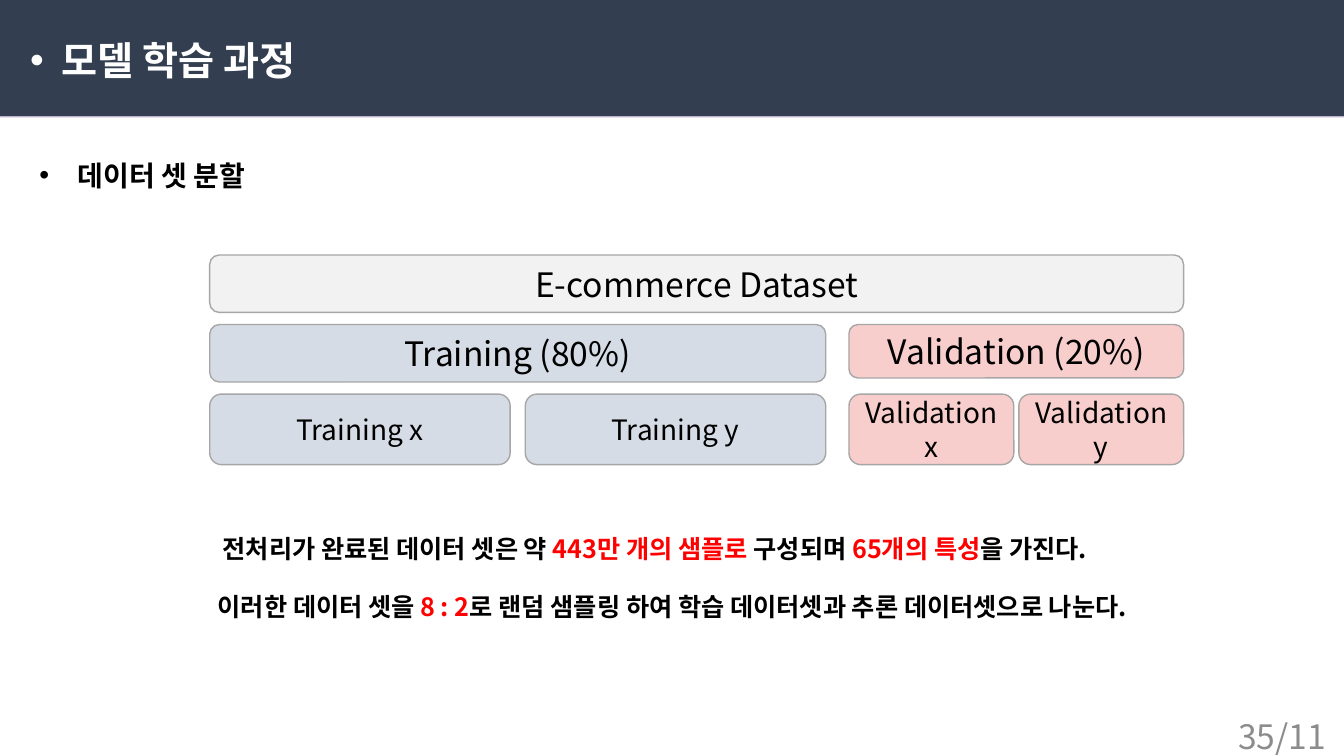
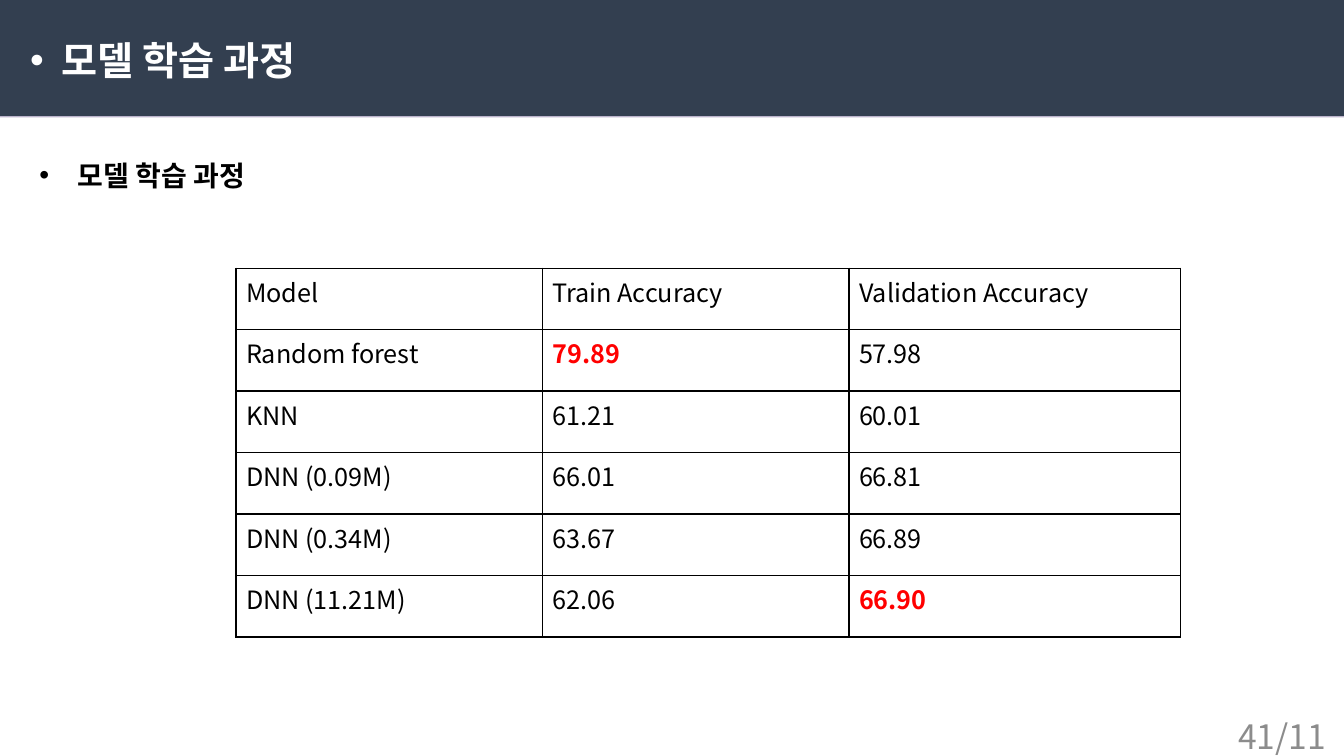
"""Build two slides on splitting a dataset and comparing trained models."""
from lxml.etree import SubElement
from pptx import Presentation
from pptx.dml.color import RGBColor
from pptx.enum.shapes import MSO_SHAPE
from pptx.enum.text import MSO_ANCHOR, MSO_AUTO_SIZE, PP_ALIGN
from pptx.oxml.ns import qn
from pptx.util import Inches, Pt

FONT = "Noto Sans CJK KR"
COLORS = {
    "band": "333F50", "shadow": "BBB3CB", "white": "FFFFFF", "black": "000000",
    "red": "FF0000", "page": "8C8C8C", "outline": "A6A6A6",
    "dataset": "F2F2F2", "training": "D6DCE5", "validation": "F8CECC",
}


class SlideBuilder:
    def __init__(self):
        self.deck = Presentation()
        self.deck.slide_width = Inches(13.33)
        self.deck.slide_height = Inches(7.5)
        self.slide = None

    def color(self, name):
        return RGBColor.from_string(COLORS[name])

    def add_span(self, para, text, size, color="black", bold=False):
        span = para.add_run()
        span.text = text
        font = span.font
        font.size, font.bold, font.name = Pt(size), bold, FONT
        font.color.rgb = self.color(color)
        SubElement(font._element, qn("a:ea"), typeface=FONT)

    def place(self, box, left, top, width, height):
        box.left, box.top = Inches(left), Inches(top)
        box.width, box.height = Inches(width), Inches(height)

    def set_frame(self, frame, margins=True, anchor=MSO_ANCHOR.TOP):
        frame.word_wrap = True
        frame.auto_size = MSO_AUTO_SIZE.NONE
        frame.vertical_anchor = anchor
        if not margins:
            frame.margin_left = frame.margin_right = 0
            frame.margin_top = frame.margin_bottom = 0
        return frame.paragraphs[0]

    def fill_placeholder(self, box, place, text, size, color, indent, margins):
        self.place(box, *place)
        para = self.set_frame(box.text_frame, margins)
        para.alignment = PP_ALIGN.LEFT
        para.space_before = Pt(0)
        properties = para._p.get_or_add_pPr()
        properties.set("marL", str(Inches(indent)))
        properties.set("indent", str(-Inches(indent)))
        SubElement(properties, qn("a:buFont"), typeface="Arial")
        SubElement(properties, qn("a:buChar"), char="•")
        self.add_span(para, text, size, color, True)

    def add_band(self):
        band = self.slide.shapes.add_shape(MSO_SHAPE.RECTANGLE, 0, 0, self.deck.slide_width, Inches(1.15))
        band.fill.solid()
        band.fill.fore_color.rgb = self.color("band")
        band.line.fill.background()
        band.shadow.inherit = False
        effects = band._element.spPr.find(qn("a:effectLst"))
        shadow = SubElement(effects, qn("a:outerShdw"), blurRad="0", dist=str(Pt(1)), dir="5400000", rotWithShape="0")
        SubElement(shadow, qn("a:srgbClr"), val=COLORS["shadow"])
        self.slide.shapes._spTree.insert(2, band._element)

    def new_slide(self, title, heading, page):
        self.slide = self.deck.slides.add_slide(self.deck.slide_layouts[1])
        self.add_band()
        self.fill_placeholder(self.slide.shapes.title, (0.2, 0.31, 4.33, 0.57), title, 28, "white", 0.31, True)
        self.fill_placeholder(self.slide.placeholders[1], (0.39, 1.57, 3.94, 0.34), heading, 20, "black", 0.38, False)
        self.add_text(10.25, 7.1, 3, 0.4, [(page, "page")], 24, False, PP_ALIGN.RIGHT, True, MSO_ANCHOR.MIDDLE)

    def add_text(self, left, top, width, height, spans, size=18, bold=True,
                 align=PP_ALIGN.LEFT, margins=False, anchor=MSO_ANCHOR.TOP):
        box = self.slide.shapes.add_textbox(Inches(left), Inches(top), Inches(width), Inches(height))
        para = self.set_frame(box.text_frame, margins, anchor)
        para.alignment = align
        for text, color in spans:
            self.add_span(para, text, size, color, bold)

    def add_block(self, left, top, width, height, text, fill, size):
        block = self.slide.shapes.add_shape(
            MSO_SHAPE.ROUNDED_RECTANGLE, Inches(left), Inches(top), Inches(width), Inches(height))
        block.shadow.inherit = False
        block.fill.solid()
        block.fill.fore_color.rgb = self.color(fill)
        block.line.color.rgb = self.color("outline")
        block.line.width = Pt(1)
        para = self.set_frame(block.text_frame, anchor=MSO_ANCHOR.MIDDLE)
        para.alignment = PP_ALIGN.CENTER
        self.add_span(para, text, size)

    def add_split(self, left, width, height, gap, name, share):
        fill = name.lower()
        self.add_block(left, 3.22, width, height, f"{name} ({share}%)", fill, 24)
        half = (width - gap) / 2
        for index, part in enumerate("xy"):
            self.add_block(left + index * (half + gap), 3.91, half, 0.7, f"{name} {part}", fill, 20)

    def style_cell(self, cell):
        properties = cell._tc.get_or_add_tcPr()
        for side in ("lnL", "lnR", "lnT", "lnB"):
            border = SubElement(properties, qn(f"a:{side}"), w=str(Pt(1)))
            SubElement(SubElement(border, qn("a:solidFill")), qn("a:srgbClr"), val=COLORS["black"])
        cell.fill.solid()
        cell.fill.fore_color.rgb = self.color("white")

    def add_table(self, left, top, widths, row_height, rows, highlights):
        table = self.slide.shapes.add_table(
            len(rows), len(widths), Inches(left), Inches(top),
            Inches(sum(widths)), Inches(row_height * len(rows))).table
        table.first_row = table.horz_banding = False
        for column, width in zip(table.columns, widths):
            column.width = Inches(width)
        for row, values in zip(table.rows, rows):
            row.height = Inches(row_height)
            for cell, value in zip(row.cells, values):
                self.style_cell(cell)
                best = value in highlights
                self.add_span(cell.text_frame.paragraphs[0], value, 18, "red" if best else "black", best)


def main():
    builder = SlideBuilder()
    title = "모델 학습 과정"

    builder.new_slide(title, "데이터 셋 분할", "35/11")
    builder.add_block(2.08, 2.53, 9.66, 0.57, "E-commerce Dataset", "dataset", 24)
    builder.add_split(2.08, 6.11, 0.57, 0.15, "Training", 80)
    builder.add_split(8.42, 3.32, 0.53, 0.05, "Validation", 20)
    builder.add_text(2.21, 5.29, 9.66, 0.3, [
        ("전처리가 완료된 데이터 셋은 약 ", "black"), ("443만 개의 샘플로 ", "red"),
        ("구성되며 ", "black"), ("65개의 특성", "red"), ("을 가진다.", "black")])
    builder.add_text(2.16, 5.87, 9.66, 0.3, [
        ("이러한 데이터 셋을 ", "black"), ("8 : 2", "red"),
        ("로 랜덤 샘플링 하여 학습 데이터셋과 추론 데이터셋으로 나눈다.", "black")])

    builder.new_slide(title, title, "41/11")
    builder.add_table(2.34, 2.66, (3.04, 3.04, 3.29), 0.61, [
        ("Model", "Train Accuracy", "Validation Accuracy"),
        ("Random forest", "79.89", "57.98"),
        ("KNN", "61.21", "60.01"),
        ("DNN (0.09M)", "66.01", "66.81"),
        ("DNN (0.34M)", "63.67", "66.89"),
        ("DNN (11.21M)", "62.06", "66.90"),
    ], ("79.89", "66.90"))

    builder.deck.save("out.pptx")


if __name__ == "__main__":
    main()
